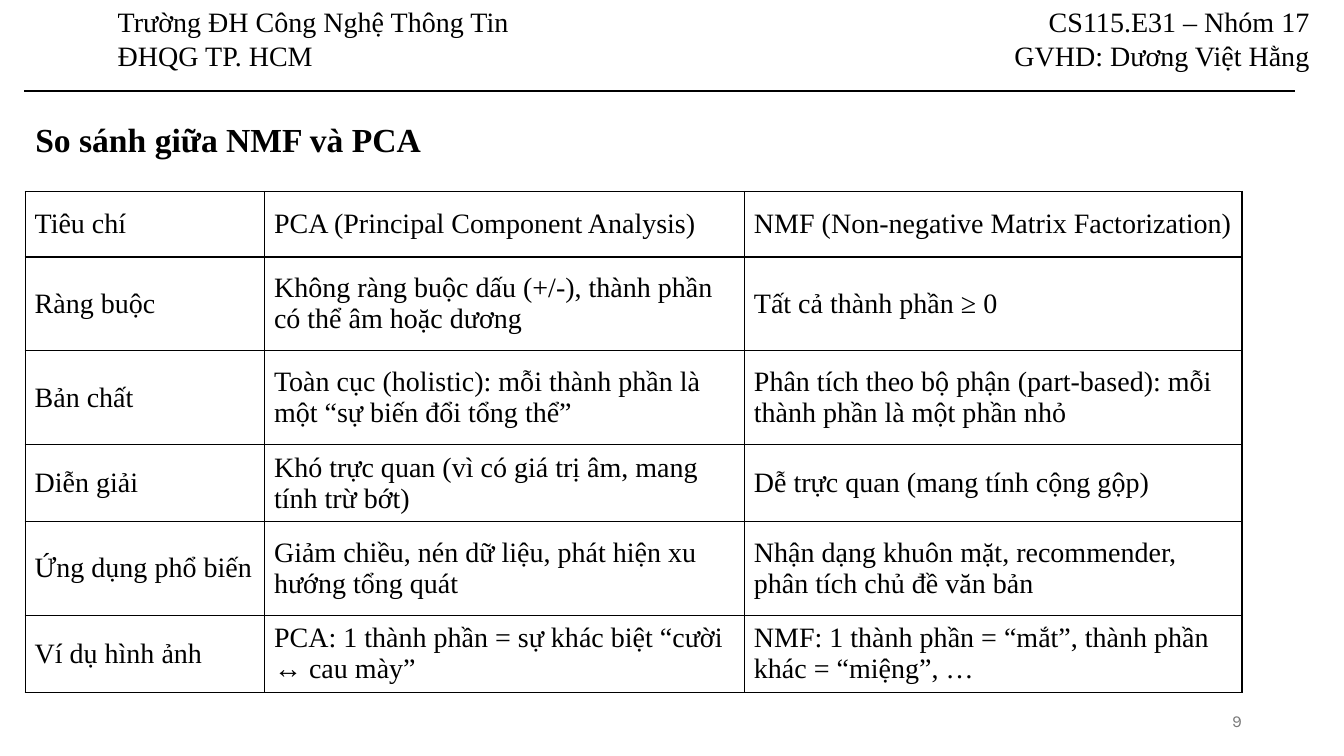
"""Build a slide that compares NMF and PCA in a table."""
from lxml import etree
from pptx import Presentation
from pptx.dml.color import RGBColor
from pptx.enum.shapes import MSO_CONNECTOR
from pptx.enum.text import MSO_ANCHOR, PP_ALIGN
from pptx.oxml.ns import qn
from pptx.util import Pt

LEFT, RIGHT = PP_ALIGN.LEFT, PP_ALIGN.RIGHT
TOP, MIDDLE = MSO_ANCHOR.TOP, MSO_ANCHOR.MIDDLE
STRAIGHT = MSO_CONNECTOR.STRAIGHT
COLORS = {"ink": "000000", "number": "797979"}
SERIF, SANS = "Times New Roman", "Karla"

TITLE = "So sánh giữa NMF và PCA"
HEADERS = [
    (["Trường ĐH Công Nghệ Thông Tin", "ĐHQG TP. HCM"], (77, 0, 334, 55.4), LEFT),
    (["CS115.E31 – Nhóm 17", "GVHD: Dương Việt Hằng"], (708.5, 0, 234, 55.4), RIGHT),
]
ROWS = [
    ("Tiêu chí", "PCA (Principal Component Analysis)",
     "NMF (Non-negative Matrix Factorization)"),
    ("Ràng buộc", "Không ràng buộc dấu (+/-), thành phần có thể âm hoặc dương",
     "Tất cả thành phần ≥ 0"),
    ("Bản chất", "Toàn cục (holistic): mỗi thành phần là một “sự biến đổi tổng thể”",
     "Phân tích theo bộ phận (part-based): mỗi thành phần là một phần nhỏ"),
    ("Diễn giải", "Khó trực quan (vì có giá trị âm, mang tính trừ bớt)",
     "Dễ trực quan (mang tính cộng gộp)"),
    ("Ứng dụng phổ biến", "Giảm chiều, nén dữ liệu, phát hiện xu hướng tổng quát",
     "Nhận dạng khuôn mặt, recommender, phân tích chủ đề văn bản"),
    ("Ví dụ hình ảnh", "PCA: 1 thành phần = sự khác biệt “cười ↔ cau mày”",
     "NMF: 1 thành phần = “mắt”, thành phần khác = “miệng”, …"),
]
COL_WIDTHS = [171, 342.8, 355.4]
ROW_HEIGHTS = [46.8, 67, 67, 55, 67, 55]


def write(tf, lines, size=20, font=SERIF, color="ink", align=LEFT, bold=False):
    """Fill a text frame with one paragraph per line."""
    tf.word_wrap = True
    for i, line in enumerate(lines):
        p = tf.paragraphs[0] if i == 0 else tf.add_paragraph()
        p.alignment = align
        r = p.add_run()
        r.text = line
        r.font.size, r.font.name, r.font.bold = Pt(size), font, bold
        r.font.color.rgb = RGBColor.from_string(COLORS[color])


def add_text(s, box, lines, anchor=TOP, **style):
    """Add a text box."""
    tf = s.shapes.add_textbox(*map(Pt, box)).text_frame
    tf.vertical_anchor = anchor
    write(tf, lines, **style)


def add_rule(s):
    """Draw the line under the header."""
    line = s.shapes.add_connector(STRAIGHT, Pt(17.3), Pt(65), Pt(925), Pt(65))
    line.line.width = Pt(1.5)
    line.line.color.rgb = RGBColor.from_string(COLORS["ink"])
    etree.SubElement(line._element.spPr, qn("a:effectLst"))


def set_borders(cell):
    """Give a cell a thin line on each side."""
    tcPr = cell._tc.get_or_add_tcPr()
    for i, side in enumerate(("lnL", "lnR", "lnT", "lnB")):
        ln = etree.Element(qn(f"a:{side}"), w=str(Pt(1)))
        fill = etree.SubElement(ln, qn("a:solidFill"))
        etree.SubElement(fill, qn("a:srgbClr"), val=COLORS["ink"])
        tcPr.insert(i, ln)


def add_comparison(s):
    """Add the comparison table."""
    frame = s.shapes.add_table(len(ROWS), len(COL_WIDTHS), Pt(18), Pt(136.8),
                               Pt(sum(COL_WIDTHS)), Pt(sum(ROW_HEIGHTS)))
    table = frame.table
    table.first_row = table.horz_banding = False
    for col, width in zip(table.columns, COL_WIDTHS):
        col.width = Pt(width)
    for row, height, texts in zip(table.rows, ROW_HEIGHTS, ROWS):
        row.height = Pt(height)
        for cell, text in zip(row.cells, texts):
            cell.fill.background()
            cell.vertical_anchor = MIDDLE
            cell.margin_left = cell.margin_right = Pt(6.75)
            cell.margin_top = cell.margin_bottom = Pt(3.4)
            write(cell.text_frame, [text])
            set_borders(cell)


def main():
    """Build and save the slide."""
    prs = Presentation()
    prs.slide_width, prs.slide_height = Pt(960), Pt(540)
    s = prs.slides.add_slide(prs.slide_layouts[5])
    title = s.shapes.title
    title.left, title.top, title.width, title.height = map(Pt, (18, 81.4, 907, 36))
    title.text_frame.vertical_anchor = TOP
    write(title.text_frame, [TITLE], size=24, bold=True)
    add_text(s, (678.2, 500.4, 216, 28.8), ["9"], MIDDLE,
             size=12, font=SANS, color="number", align=RIGHT)
    for lines, box, align in HEADERS:
        add_text(s, box, lines, align=align)
    add_rule(s)
    add_comparison(s)
    prs.save("out.pptx")


if __name__ == "__main__":
    main()
